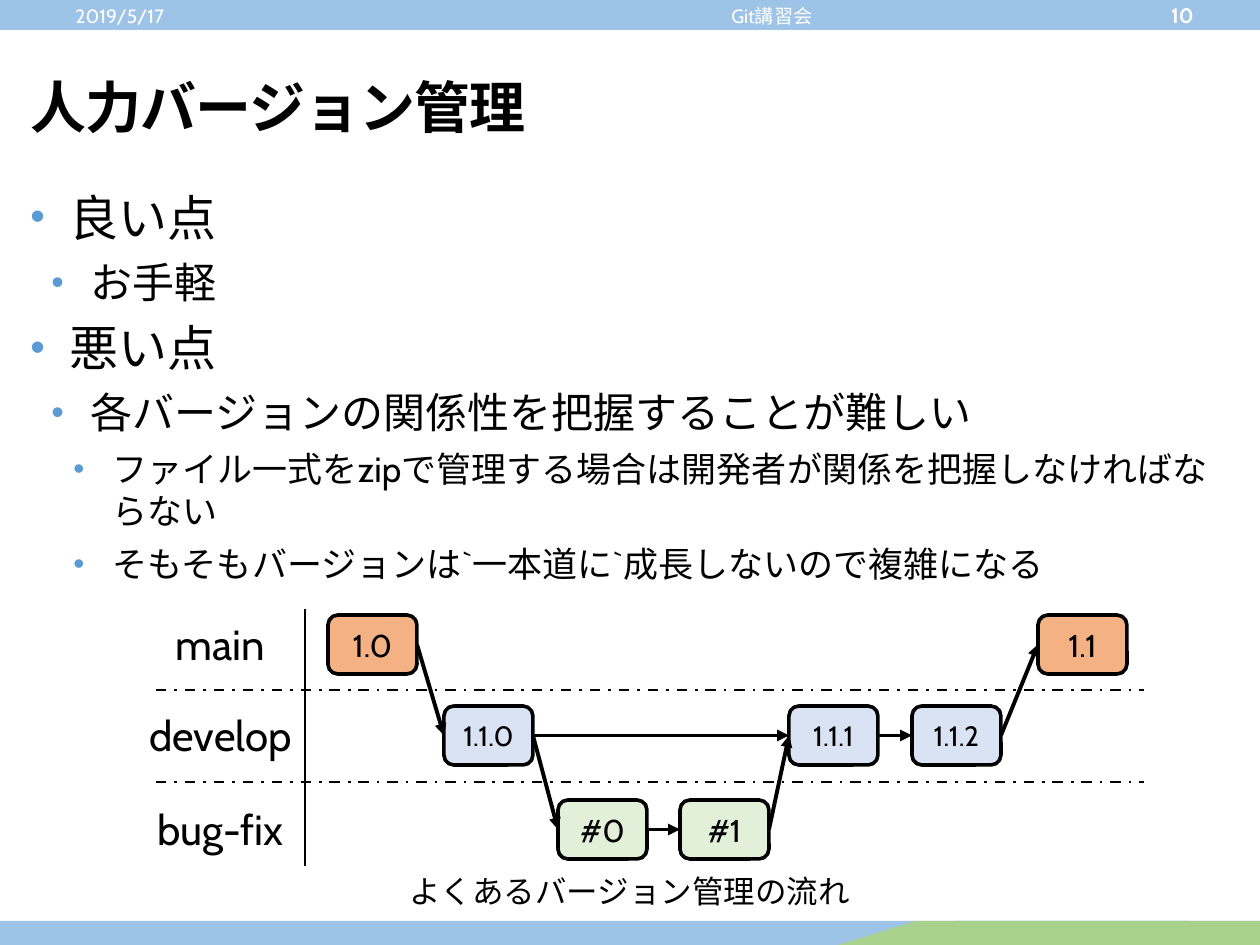
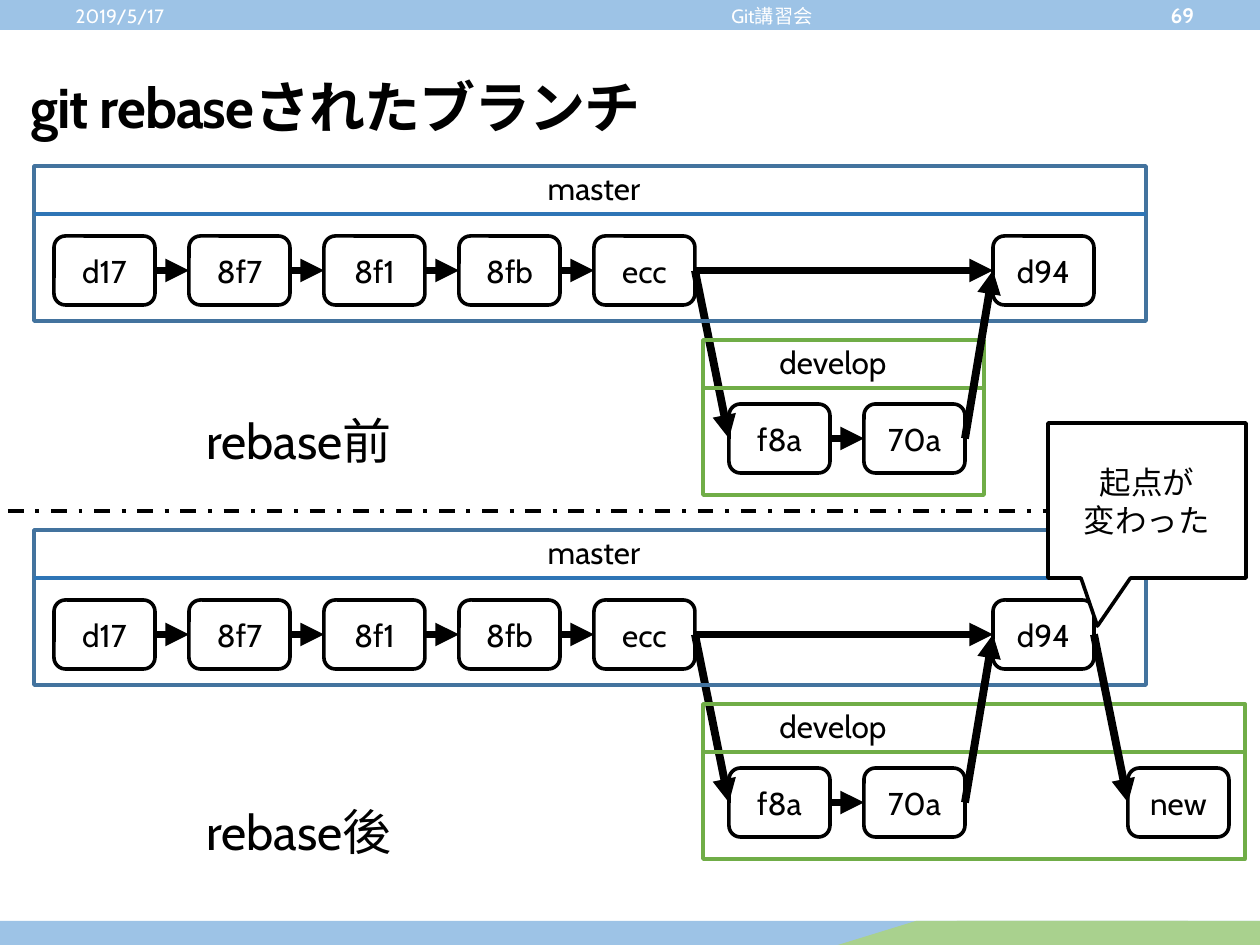
from dataclasses import dataclass

from lxml import etree
from pptx import Presentation
from pptx import util as u
from pptx.dml.color import RGBColor
from pptx.enum import dml, shapes, text
from pptx.oxml.ns import qn

PX = u.Inches(1) / 126
SHAPE = shapes.MSO_SHAPE
CENTER = text.PP_ALIGN.CENTER
MIDDLE = text.MSO_ANCHOR.MIDDLE
LEFT_SITE, RIGHT_SITE = 1, 3


@dataclass(frozen=True)
class Theme:
    font: str = "Cabin"
    ink: str = "000000"
    paper: str = "FFFFFF"
    band: str = "9DC3E6"
    accent: str = "A9D18E"
    bullet: str = "5B9BD5"
    main: str = "F4B183"
    develop: str = "DAE3F3"
    bugfix: str = "E2F0D9"
    master_frame: str = "43739E"
    master_rule: str = "2E75B6"
    develop_frame: str = "70AD47"
    title: int = 32
    large: int = 28
    medium: int = 24
    small: int = 20
    label: int = 18
    compact: int = 16
    number: int = 12
    header: int = 11
    outline: float = 2.08
    rule: float = 2.25
    divider: float = 1.5
    heavy: float = 4.5


def px(*lengths):
    return [u.Emu(round(n * PX)) for n in lengths]


def child(parent, tag, **attrs):
    return etree.SubElement(parent, qn(tag), attrs)


class Deck:
    def __init__(self, theme):
        self.t = theme
        self.prs = Presentation()
        self.prs.slide_width, self.prs.slide_height = px(1260, 945)
        self.s = None

    def new_slide(self, title, number):
        t = self.t
        self.s = self.prs.slides.add_slide(self.prs.slide_layouts[6])
        self.shape(SHAPE.RECTANGLE, (0, 0, 1260, 30), t.band)
        self.shape(SHAPE.RECTANGLE, (0, 921, 1260, 24), t.band)
        self.shape(SHAPE.PARALLELOGRAM, (838, 921, 350, 24), t.accent, adj=[3.25])
        self.shape(SHAPE.RECTANGLE, (957, 921, 303, 24), t.accent)
        self.label(title, (18, 58, 1227, 97), t.title, align=None, anchor=MIDDLE,
                   bold=True, spacing=-60)
        header = dict(color=t.paper, anchor=MIDDLE)
        self.label("2019/5/17", (63, 1, 333, 29), t.header, align=None, **header)
        self.label("Git講習会", (435, 1, 674, 30), t.header, **header)
        self.label(number, (1109, 1, 147, 29), t.number, bold=True, **header)

    def fill_paragraph(self, p, content, size, color=None, bold=False, spacing=None):
        p.text = content
        for r in p.runs:
            style = {"name": self.t.font, "size": u.Pt(size), "bold": bold}
            for name, value in style.items():
                setattr(r.font, name, value)
            r.font.color.rgb = RGBColor.from_string(color or self.t.ink)
            props = r.font._element
            child(props, "a:ea", typeface=self.t.font)
            if spacing is not None:
                props.set("spc", str(spacing))

    def label(self, content, box, size, align=CENTER, anchor=text.MSO_ANCHOR.TOP,
              **style):
        tf = self.s.shapes.add_textbox(*px(*box)).text_frame
        tf.word_wrap, tf.vertical_anchor = True, anchor
        tf.paragraphs[0].alignment = align
        self.fill_paragraph(tf.paragraphs[0], content, size, **style)

    def bullets(self, box, items):
        """Draw (level, text) items as an indented list."""
        t = self.t
        levels = [(39, t.large, 85), (60, t.medium, 85), (82, t.small, 90)]
        tf = self.s.shapes.add_textbox(*px(*box)).text_frame
        tf.word_wrap = True
        for i, (level, content) in enumerate(items):
            margin, size, percent = levels[level]
            p = tf.add_paragraph() if i else tf.paragraphs[0]
            p.level, p.space_after = level, u.Pt(6)
            props = p._p.get_or_add_pPr()
            for name, length in zip(("marL", "indent"), px(margin, -39)):
                props.set(name, str(length))
            child(child(props, "a:buClr"), "a:srgbClr", val=t.bullet)
            child(props, "a:buSzPct", val=str(percent * 1000))
            child(props, "a:buFont", typeface="Arial")
            child(props, "a:buChar", char="•")
            self.fill_paragraph(p, content, size)

    def shape(self, kind, box, fill=None, line=None, content="", size=None, adj=()):
        sp = self.s.shapes.add_shape(kind, *px(*box))
        sp.shadow.inherit = False
        for i, value in enumerate(adj):
            sp.adjustments[i] = value
        if fill:
            sp.fill.solid()
            sp.fill.fore_color.rgb = RGBColor.from_string(fill)
        else:
            sp.fill.background()
        if line:
            sp.line.color.rgb = RGBColor.from_string(line)
            sp.line.width = u.Pt(self.t.outline)
        else:
            sp.line.fill.background()
        if content:
            tf = sp.text_frame
            tf.word_wrap, tf.vertical_anchor = True, MIDDLE
            tf.paragraphs[0].alignment = CENTER
            self.fill_paragraph(tf.paragraphs[0], content, size or self.t.label)
        return sp

    def node(self, content, box, fill, size=None):
        return self.shape(SHAPE.ROUNDED_RECTANGLE, box, fill, self.t.ink, content, size)

    def line(self, ends, width, color=None, dashed=False):
        c = self.s.shapes.add_connector(shapes.MSO_CONNECTOR.STRAIGHT, *px(*ends))
        c.line.color.rgb = RGBColor.from_string(color or self.t.ink)
        c.line.width = u.Pt(width)
        if dashed:
            c.line.dash_style = dml.MSO_LINE.DASH_DOT
        child(c._element.spPr, "a:effectLst")
        return c

    def arrow(self, start, end, width):
        """Join the right side of one node to the left side of another."""
        c = self.line((0, 0, 0, 0), width)
        c.begin_connect(start, RIGHT_SITE)
        c.end_connect(end, LEFT_SITE)
        # python-pptx numbers sites top, left, bottom, right
        child(c.line._get_or_add_ln(), "a:tailEnd", type="triangle")

    def frame(self, name, box, name_center, color, rule_color):
        left, top, width, _ = box
        self.shape(SHAPE.RECTANGLE, box, line=color)
        self.line((left, top + 48, left + width, top + 48), self.t.rule, rule_color)
        self.label(name, (name_center - 183, top - 3, 366, 50), self.t.label)


def manual_versioning(d):
    t = d.t
    d.new_slide("人力バージョン管理", "10")
    d.bullets((18, 181, 1227, 711), [
        (0, "良い点"),
        (1, "お手軽"),
        (0, "悪い点"),
        (1, "各バージョンの関係性を把握することが難しい"),
        (2, "ファイル一式をzipで管理する場合は開発者が関係を把握しなければならない"),
        (2, "そもそもバージョンは`一本道に`成長しないので複雑になる"),
    ])
    lanes = [
        ("main", 615, t.main, t.label, {"1.0": 328, "1.1": 1038}),
        ("develop", 706, t.develop, t.compact, {"1.1.0": 444, "1.1.1": 789, "1.1.2": 912}),
        ("bug-fix", 800, t.bugfix, t.label, {"#0": 558, "#1": 680}),
    ]
    nodes = {}
    for branch, top, fill, size, versions in lanes:
        d.label(branch, (116, top - 3, 209, 63), t.medium)
        for version, left in versions.items():
            nodes[version] = d.node(version, (left, top, 89, 59), fill, size)
    for start, end in [("1.0", "1.1.0"), ("1.1.0", "1.1.1"), ("1.1.0", "#0"), ("#0", "#1"),
                       ("#1", "1.1.1"), ("1.1.1", "1.1.2"), ("1.1.2", "1.1")]:
        d.arrow(nodes[start], nodes[end], t.rule)
    d.label("よくあるバージョン管理の流れ", (343, 866, 573, 50), t.label)
    for y in (690, 782):
        d.line((156, y, 1144, y), t.divider, dashed=True)
    d.line((305, 609, 305, 866), t.divider)


def commit_graph(d, top, develop_width):
    """Draw the master and develop frames; return a function adding later commits."""
    t = d.t
    master_y, develop_y = top + 70, top + 238
    nodes = {}

    def commit(name, left, y):
        nodes[name] = d.node(name, (left, y, 101, 69), t.paper)

    def link(*names):
        for start, end in zip(names, names[1:]):
            d.arrow(nodes[start], nodes[end], t.heavy)

    row = ["d17", "8f7", "8f1", "8fb", "ecc", "f8a", "70a"]
    for i, name in enumerate(row):
        commit(name, 54 + 135 * i, master_y if i < 5 else develop_y)
    link(*row)
    d.frame("master", (34, top, 1112, 155), 594, t.master_frame, t.master_rule)
    d.frame("develop", (703, top + 174, develop_width, 155), 833,
            t.develop_frame, t.develop_frame)
    commit("d94", 993, master_y)
    link("ecc", "d94")
    link("70a", "d94")

    def extend(name):
        commit(name, 1128, develop_y)
        link("d94", name)

    return extend


def rebased_branch(d):
    t = d.t
    d.new_slide("git rebaseされたブランチ", "69")
    commit_graph(d, 166, 281)
    extend_after = commit_graph(d, 530, 542)
    extend_after("new")
    d.line((8, 511, 1252, 511), t.rule, dashed=True)
    for caption, top in [("rebase前", 404), ("rebase後", 795)]:
        d.label(caption, (139, top, 320, 72), t.large)
    d.shape(SHAPE.RECTANGULAR_CALLOUT, (1048, 423, 198, 155), t.paper, t.ink,
            "起点が\n変わった", adj=[-0.25, 0.81])


def main():
    d = Deck(Theme())
    manual_versioning(d)
    rebased_branch(d)
    d.prs.save("out.pptx")


if __name__ == "__main__":
    main()
